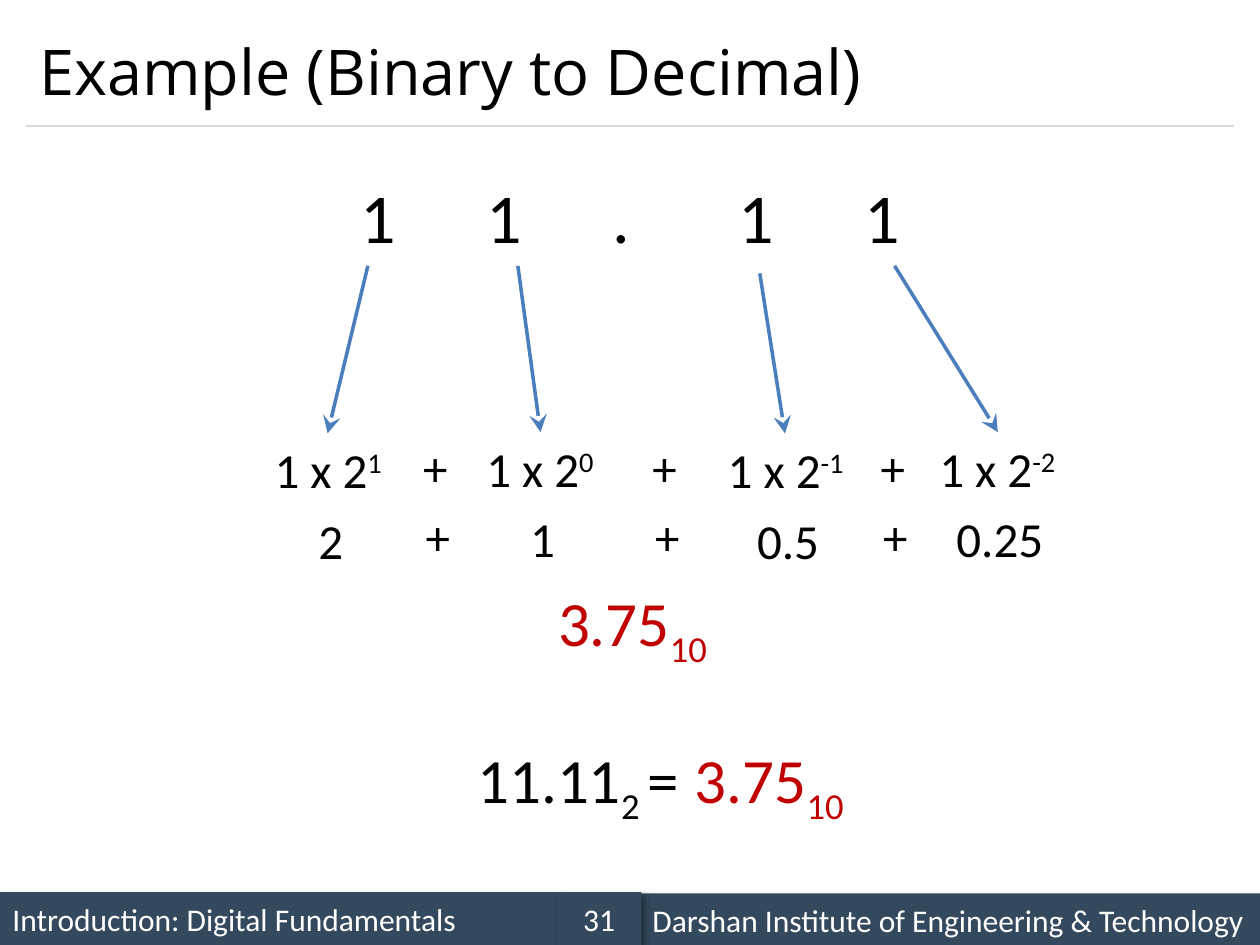
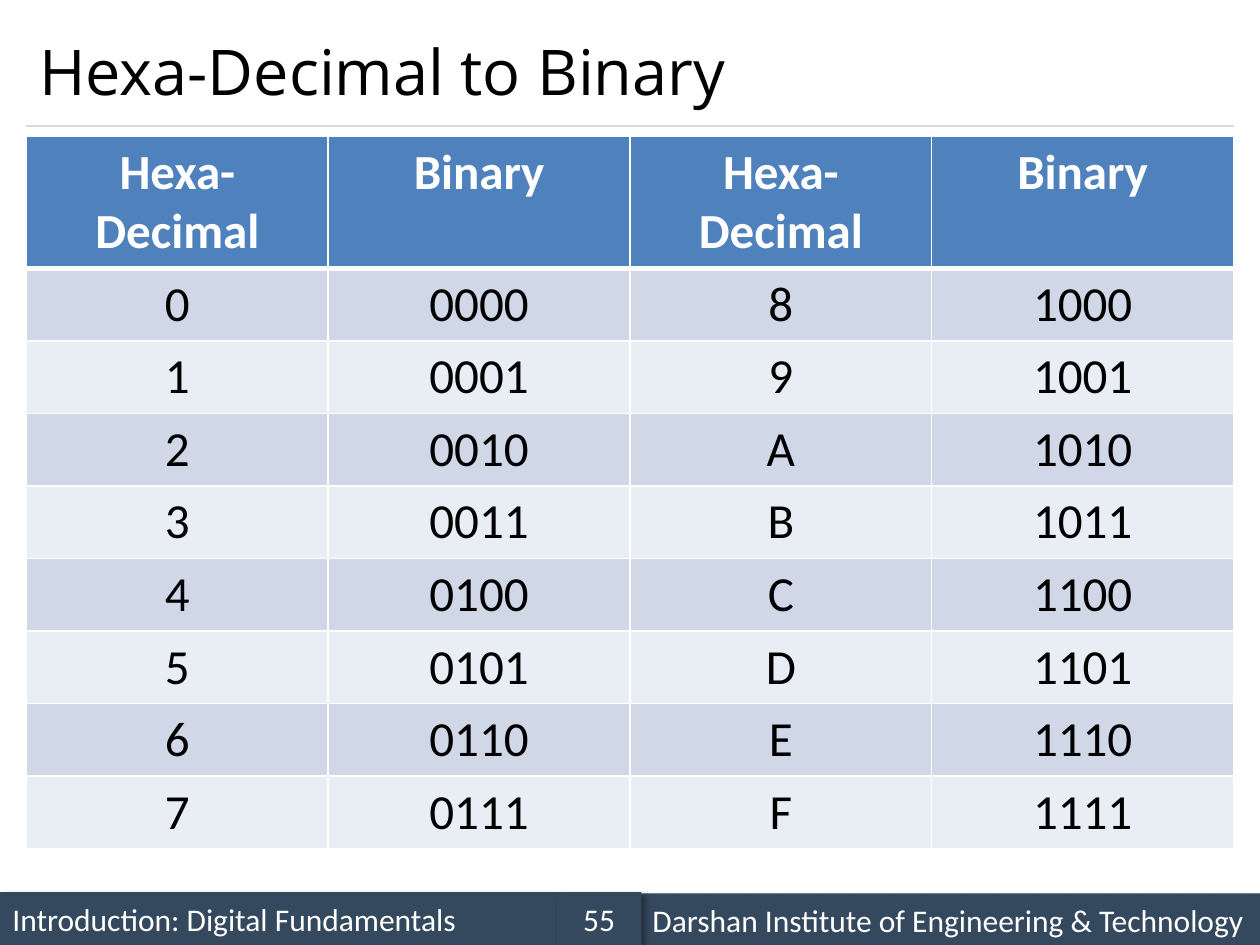
import lxml.etree
import pptx
import pptx.dml.color
import pptx.enum.shapes
import pptx.enum.text
import pptx.oxml
import pptx.oxml.ns
import pptx.util

Inches = pptx.util.Inches
Pt = pptx.util.Pt
qn = pptx.oxml.ns.qn
CENTER = pptx.enum.text.PP_ALIGN.CENTER
LEFT = pptx.enum.text.PP_ALIGN.LEFT
MIDDLE = pptx.enum.text.MSO_ANCHOR.MIDDLE
COLORS = {
    "text": "000000",
    "white": "FFFFFF",
    "band": "34495E",
    "rule": "D9D9D9",
    "arrow": "4B7EBC",
    "result": "C00000",
    "header": "4F81BD",
    "odd_row": "D0D8E8",
    "even_row": "E9EDF4",
}
SHADOW = (
    f'<a:outerShdw {pptx.oxml.ns.nsdecls("a")} blurRad="50800" dist="38100" dir="2700000" '
    'algn="tl" rotWithShape="0"><a:srgbClr val="000000"><a:alpha val="40000"/></a:srgbClr></a:outerShdw>'
)


def write(frame, runs, size, color="text", align=CENTER, font="Calibri", bold=False):
    frame.word_wrap = True
    paragraph = frame.paragraphs[0]
    paragraph.alignment = align
    for text, baseline in runs:
        run = paragraph.add_run()
        run.text = text
        run.font.name = font
        run.font.size = Pt(size)
        run.font.bold = bold
        run.font.color.rgb = pptx.dml.color.RGBColor.from_string(COLORS[color])
        if baseline:
            run.font._element.set("baseline", str(baseline * 1000))


def add_line(slide, start, end, color, width):
    points = [Inches(value) for value in (*start, *end)]
    line = slide.shapes.add_connector(pptx.enum.shapes.MSO_CONNECTOR.STRAIGHT, *points)
    line.line.color.rgb = pptx.dml.color.RGBColor.from_string(COLORS[color])
    line.line.width = Pt(width)
    lxml.etree.SubElement(line._element.spPr, qn("a:effectLst"))
    return line


presentation = pptx.Presentation()
presentation.slide_width = Inches(10)
presentation.slide_height = Inches(7.5)

slides = []
for title, number in (("Example (Binary to Decimal)", "31"), ("Hexa-Decimal to Binary", "55")):
    slide = presentation.slides.add_slide(presentation.slide_layouts[5])
    slides.append(slide)
    heading = slide.shapes.title
    heading.left, heading.top, heading.width, heading.height = map(Inches, (0.21, 0.12, 9.58, 0.88))
    heading.text_frame.vertical_anchor = MIDDLE
    heading.text_frame.auto_size = pptx.enum.text.MSO_AUTO_SIZE.NONE
    write(heading.text_frame, [(title, 0)], 36, align=LEFT, font="Open Sans")
    add_line(slide, (0.21, 1), (9.79, 1), "rule", 0.75)
    for left, top, width, label, align in (
        (0, 7.08, 4.42, "Introduction: Digital Fundamentals", LEFT),
        (5.08, 7.09, 4.92, "Darshan Institute of Engineering & Technology", LEFT),
        (4.42, 7.08, 0.67, number, CENTER),
    ):
        band = slide.shapes.add_shape(
            pptx.enum.shapes.MSO_SHAPE.RECTANGLE, Inches(left), Inches(top), Inches(width), Inches(0.42)
        )
        band.shadow.inherit = False
        band._element.spPr.find(qn("a:effectLst")).append(pptx.oxml.parse_xml(SHADOW))
        band.fill.solid()
        band.fill.fore_color.rgb = pptx.dml.color.RGBColor.from_string(COLORS["band"])
        band.line.fill.background()
        band.text_frame.vertical_anchor = MIDDLE
        write(band.text_frame, [(label, 0)], 18, "white", align)

conversion_slide, hexadecimal_slide = slides

digits = conversion_slide.shapes.add_textbox(Inches(0.21), Inches(1.33), Inches(9.58), Inches(0.77))
digit_properties = digits.text_frame.paragraphs[0]._p.get_or_add_pPr()
digit_properties.set("defTabSz", str(Inches(1)))
tab_list = lxml.etree.SubElement(digit_properties, qn("a:tabLst"))
for position in range(1, 5):
    lxml.etree.SubElement(tab_list, qn("a:tab"), pos=str(Inches(position)), algn="l")
write(digits.text_frame, [("1\t1\t.\t1\t1", 0)], 40)

boxes = [
    (4.29, 4.58, 1.46, 0.71, [("3.75", 0), ("10", -25)], 36, "result"),
    (3.54, 5.83, 2.1, 0.71, [("11.11", 0), ("2 ", -25), ("=", 0)], 36, "text"),
    (5.33, 5.83, 1.55, 0.71, [("3.75", 0), ("10", -25)], 36, "result"),
]
for left, top, exponent, value in (
    (1.96, 3.44, "1", "2"),
    (3.64, 3.43, "0", "1"),
    (5.59, 3.44, "-1", "0.5"),
    (7.27, 3.43, "-2", "0.25"),
):
    boxes.append((left, top, 1.29, 0.57, [("1 x 2", 0), (exponent, 30)], 28, "text"))
    boxes.append((left + 0.02, top + 0.56, 1.29, 0.57, [(value, 0)], 28, "text"))
for left in (3.25, 5.07, 6.88):
    for shift, top in ((0, 3.42), (0.02, 3.97)):
        boxes.append((left + shift, top, 0.41, 0.57, [("+", 0)], 28, "text"))

for left, top, width, height, runs, size, color in boxes:
    box = conversion_slide.shapes.add_textbox(Inches(left), Inches(top), Inches(width), Inches(height))
    write(box.text_frame, runs, size, color)
    box.text_frame.auto_size = pptx.enum.text.MSO_AUTO_SIZE.SHAPE_TO_FIT_TEXT

for digit, term in (
    ((2.92, 2.11), (2.6, 3.44)),
    ((4.11, 2.11), (4.29, 3.43)),
    ((6.03, 2.17), (6.23, 3.44)),
    ((7.1, 2.11), (7.92, 3.43)),
):
    arrow = add_line(conversion_slide, digit, term, "arrow", 2)
    lxml.etree.SubElement(arrow.get_or_add_ln(), qn("a:tailEnd"), type="stealth", w="lg", len="lg")

rows = [["Hexa-Decimal", "Binary"] * 2]
for low in range(8):
    rows.append([text for digit in (low, low + 8) for text in (f"{digit:X}", f"{digit:04b}")])

table = hexadecimal_slide.shapes.add_table(
    len(rows), 4, Inches(0.21), Inches(1.08), Inches(9.58), Inches(5.6)
).table
for row_index, row in enumerate(rows):
    is_header = row_index == 0
    table.rows[row_index].height = Inches(1.04 if is_header else 0.57)
    fill = "header" if is_header else "odd_row" if row_index % 2 else "even_row"
    borders = {"L": 1, "R": 1, "T": 3 if row_index == 1 else 1, "B": 3 if is_header else 1}
    for column_index, text in enumerate(row):
        cell = table.cell(row_index, column_index)
        properties = cell._tc.get_or_add_tcPr()
        for side, width in borders.items():
            border = lxml.etree.SubElement(properties, qn(f"a:ln{side}"), w=str(Pt(width)))
            solid = lxml.etree.SubElement(border, qn("a:solidFill"))
            lxml.etree.SubElement(solid, qn("a:srgbClr"), val=COLORS["white"])
        cell.fill.solid()
        cell.fill.fore_color.rgb = pptx.dml.color.RGBColor.from_string(COLORS[fill])
        write(cell.text_frame, [(text, 0)], 28, "white" if is_header else "text", bold=is_header)

presentation.save("out.pptx")
